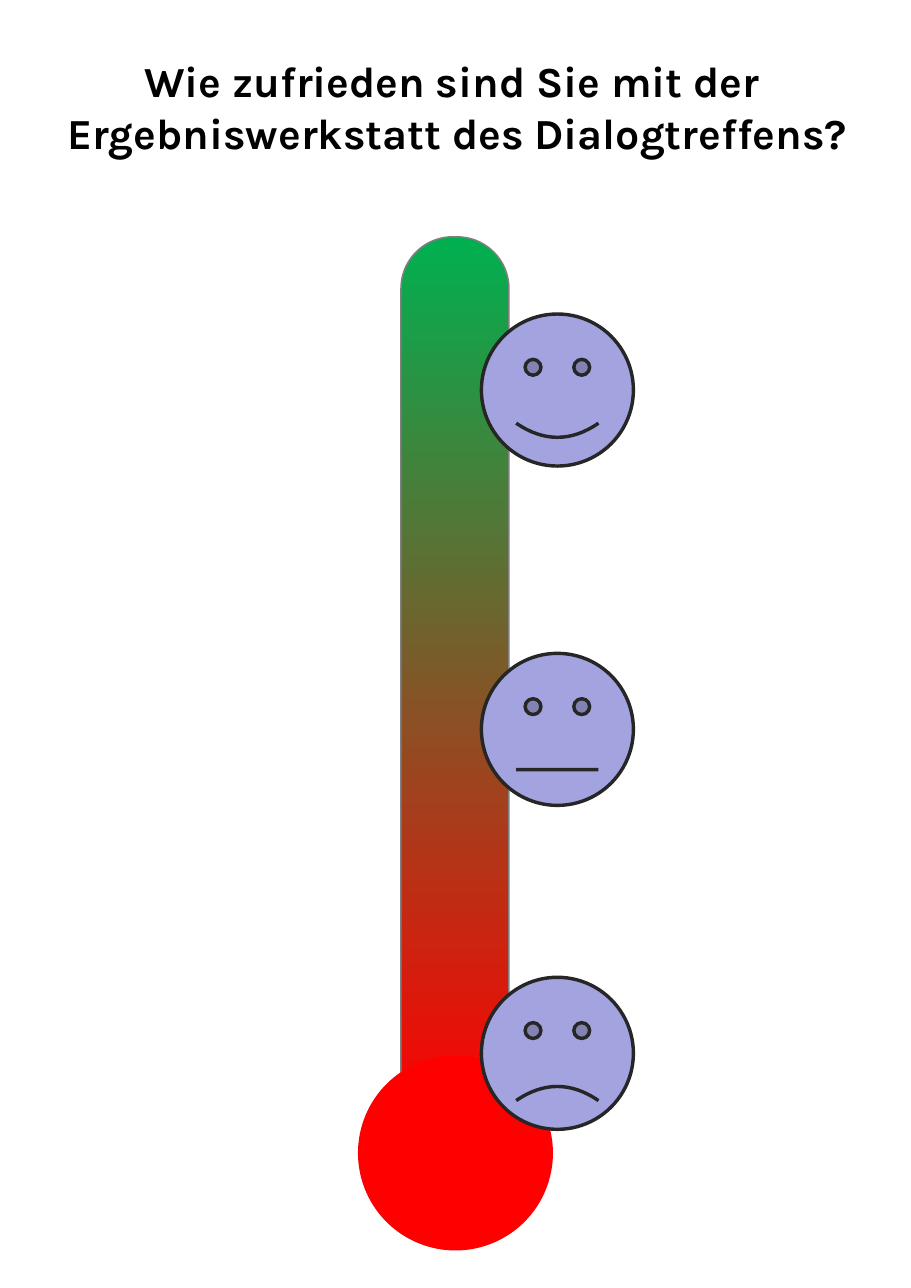
from pptx import Presentation
from pptx.dml.color import RGBColor
from pptx.enum.shapes import MSO_SHAPE
from pptx.enum.text import MSO_ANCHOR, MSO_AUTO_SIZE, PP_ALIGN
from pptx.util import Pt

SCALE = 9144  # EMU per px, 100 px to the inch
COLORS = {
    "text": "000000", "good": "00B050", "bad": "FF0000",
    "edge": "7F7F7F", "face": "A3A3E0", "ink": "262626",
}
FRAME = {"word_wrap": True, "auto_size": MSO_AUTO_SIZE.NONE,
         "vertical_anchor": MSO_ANCHOR.TOP}
FONT = {"name": "Karla", "size": Pt(28), "bold": True}


def px(n):
    return n * SCALE


def rgb(name):
    return RGBColor.from_string(COLORS[name])


def apply(item, values):
    for key, value in values.items():
        setattr(item, key, value)


class Poster:
    def __init__(self, wide, high):
        self.deck = Presentation()
        apply(self.deck, {"slide_width": px(wide), "slide_height": px(high)})
        self.slide = self.deck.slides.add_slide(self.deck.slide_layouts[5])

    def title(self, text, left, top, wide, high):
        box = self.slide.shapes.title
        apply(box, {"left": px(left), "top": px(top),
                    "width": px(wide), "height": px(high)})
        frame = box.text_frame
        apply(frame, FRAME)
        frame.text = text
        line = frame.paragraphs[0]
        line.alignment = PP_ALIGN.CENTER
        for run in line.runs:
            apply(run.font, FONT)
            run.font.color.rgb = rgb("text")

    def shape(self, kind, left, top, wide, high, fill=None, edge=None, weight=1):
        item = self.slide.shapes.add_shape(
            kind, px(left), px(top), px(wide), px(high))
        item.shadow.inherit = False
        if fill:
            item.fill.solid()
            item.fill.fore_color.rgb = rgb(fill)
        if edge:
            item.line.color.rgb = rgb(edge)
            item.line.width = Pt(weight)
        else:
            item.line.fill.background()
        return item

    def tube(self, left, top, wide, high):
        item = self.shape(MSO_SHAPE.ROUNDED_RECTANGLE, left, top, wide, high,
                          edge="edge")
        item.adjustments[0] = 0.48
        item.fill.gradient()
        item.fill.gradient_angle = 270
        for stop, name, place in zip(item.fill.gradient_stops,
                                     ("good", "bad"), (0, 1)):
            stop.color.rgb = rgb(name)
            stop.position = place

    def face(self, top, smile):
        item = self.shape(MSO_SHAPE.SMILEY_FACE, 437, top, 138, 138,
                          "face", "ink", 2.25)
        item.adjustments[0] = smile


def main():
    poster = Poster(827, 1169)

    # Question
    poster.title("Wie zufrieden sind Sie mit der \v"
                 "Ergebniswerkstatt des Dialogtreffens?", 20, 45, 790, 104)

    # Thermometer and mood faces; the bulb lies below the sad face
    poster.tube(364, 215, 98, 803)
    poster.shape(MSO_SHAPE.OVAL, 325, 958, 177, 177, "bad")
    for top, smile in ((285, 0.093), (593, 0), (887, -0.047)):
        poster.face(top, smile)

    poster.deck.save("out.pptx")


if __name__ == "__main__":
    main()
